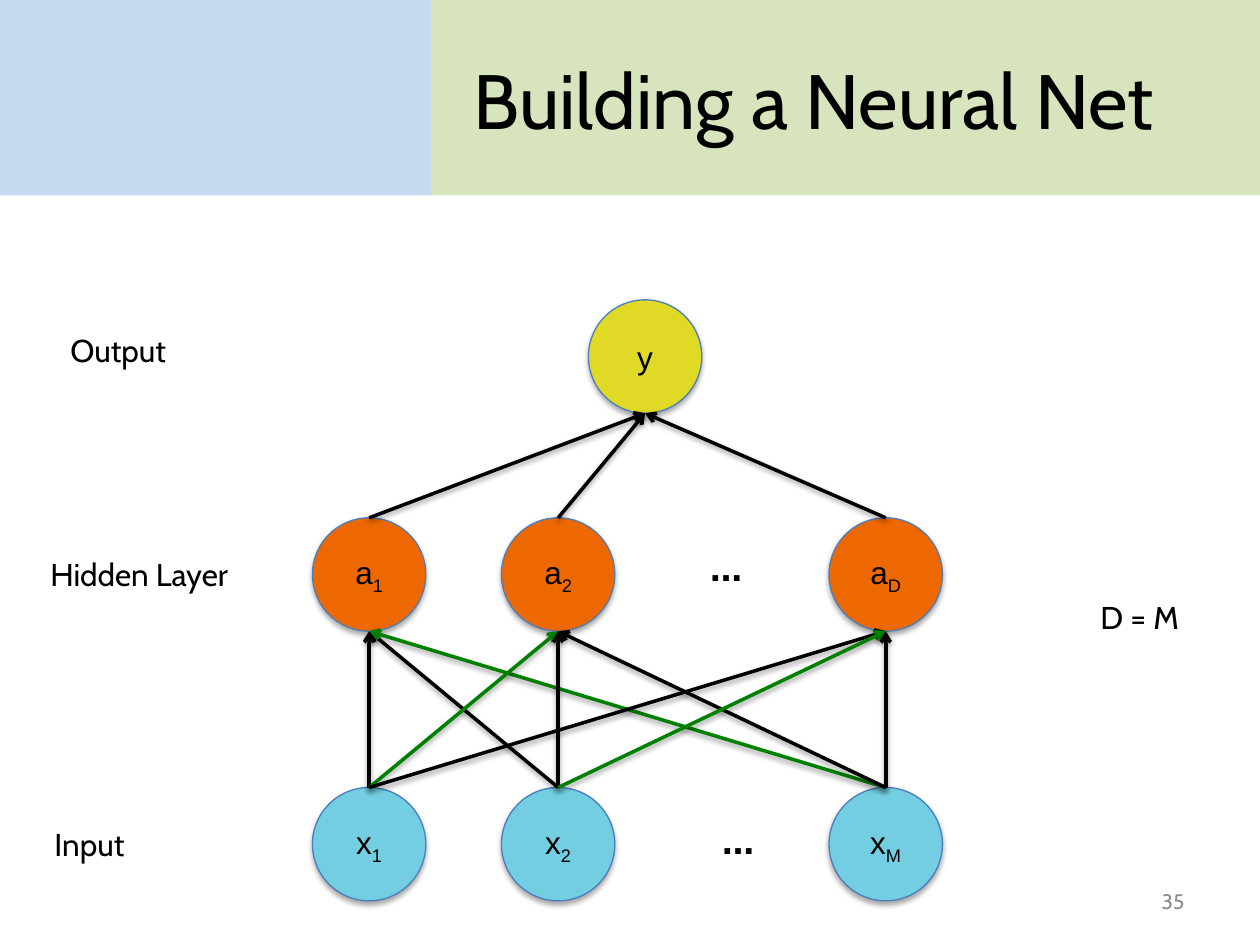
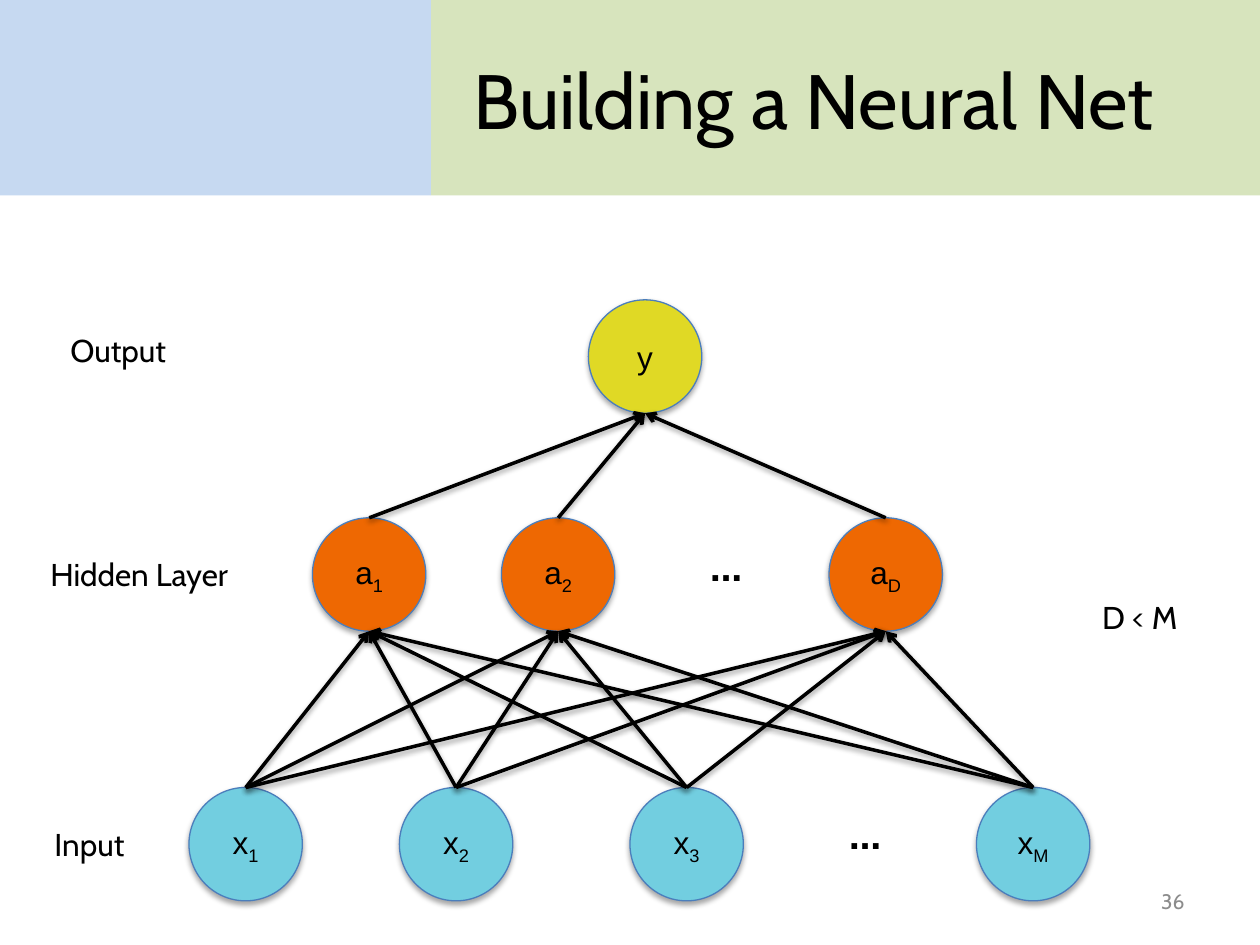
import collections
import dataclasses
import itertools

import pptx
import pptx.dml.color
import pptx.enum.dml
import pptx.enum.shapes
import pptx.enum.text
import pptx.oxml
import pptx.oxml.ns
import pptx.util
from pptx.util import Inches

ALIGN = pptx.enum.text.PP_ALIGN
ANCHOR = pptx.enum.text.MSO_ANCHOR
SHAPE = pptx.enum.shapes.MSO_SHAPE
Box = collections.namedtuple("Box", "left top width height")


@dataclasses.dataclass(frozen=True)
class Theme:
    heading_font: str = "Cabin"
    node_font: str = "Arial"
    title_size: int = 44
    ellipsis_size: int = 26
    text_size: int = 18
    number_size: int = 12
    text: str = "000000"
    number: str = "8C8C8C"
    left_band: str = "C6D9F1"
    right_band: str = "D7E4BD"
    node_line: str = "4B7EBC"
    output: str = "E0D925"
    hidden: str = "EE6802"
    input: str = "72CEE0"
    edge: str = "000000"
    marked_edge: str = "008000"


THEME = Theme()
SLIDE = Box(0, 0, 10, 7.5)
HEADER = Box(0, 0, 10, 1.55)
NETWORK = Box(1.5, 2.38, 7.15, 4.77)
SIDE_LABELS = Box(0, 2.58, 2.25, 4.32)
NODE_SIZE = 0.9
BOTTOM_SITE = "4"  # a circle has eight connection sites
HIDDEN_LEFTS = (0.98, 2.48, 5.08)

Network = collections.namedtuple(
    "Network", "number relation subscripts input_lefts ellipsis marked")
NETWORKS = (
    Network(35, "D = M", "12M", HIDDEN_LEFTS, (4.07, 3.99),
            {(0, 2), (1, 0), (2, 1)}),
    Network(36, "D < M", "123M", (0, 1.67, 3.5, 6.25), (5.08, 3.95), set()),
)


def rgb(value):
    return pptx.dml.color.RGBColor.from_string(value)


def set_values(target, values):
    for name, value in values.items():
        setattr(target, name, value)


def inside(box, left, top, width, height):
    """Turn offsets within a box into lengths on the slide."""
    return [Inches(round(length, 2)) for length in
            (box.left + left, box.top + top, width, height)]


def style_font(font, size, color=THEME.text, name=THEME.heading_font, bold=False):
    set_values(font, {"name": name, "size": pptx.util.Pt(size), "bold": bold})
    font.color.rgb = rgb(color)


def fill_shape(shape, color, line=None):
    shape.shadow.inherit = False
    shape.fill.solid()
    shape.fill.fore_color.rgb = rgb(color)
    if line:
        shape.line.color.rgb = rgb(line)
        shape.line.width = pptx.util.Pt(0.75)
    else:
        shape.line.fill.background()


def cast_shadow(properties, distance, opacity):
    """Put a soft black shadow below a shape or connector."""
    for effects in properties.findall(pptx.oxml.ns.qn("a:effectLst")):
        properties.remove(effects)
    properties.append(pptx.oxml.parse_xml(
        f'<a:effectLst {pptx.oxml.ns.nsdecls("a")}>'
        f'<a:outerShdw blurRad="40000" dist="{distance}" dir="5400000" '
        f'rotWithShape="0"><a:srgbClr val="000000">'
        f'<a:alpha val="{opacity * 1000}"/></a:srgbClr></a:outerShdw>'
        '</a:effectLst>'))


def add_text(slide, place, text, size=THEME.text_size, align=ALIGN.CENTER,
             anchor=ANCHOR.TOP, **font):
    frame = slide.shapes.add_textbox(*place).text_frame
    set_values(frame, {"word_wrap": True, "vertical_anchor": anchor})
    paragraph = frame.paragraphs[0]
    paragraph.alignment = align
    run = paragraph.add_run()
    run.text = text
    style_font(run.font, size, **font)


def add_bands(slide, box):
    """Draw the header bands and move them to the layout all slides share."""
    split = 3.42
    bands = ((0, split, THEME.left_band),
             (split, box.width - split, THEME.right_band))
    for left, width, color in bands:
        band = slide.shapes.add_shape(
            SHAPE.RECTANGLE, *inside(box, left, 0, width, box.height))
        fill_shape(band, color)
        slide.slide_layout.shapes.element.insert(2, band.element)


def set_title(slide, box):
    title = slide.shapes.title
    left, top, width, height = inside(box, 3.42, 0.16, 6.08, 1.25)
    set_values(title, {"left": left, "top": top, "width": width, "height": height})
    title.text_frame.text = "Building a Neural Net"
    title.text_frame.vertical_anchor = ANCHOR.MIDDLE
    paragraph = title.text_frame.paragraphs[0]
    paragraph.alignment = ALIGN.CENTER
    style_font(paragraph.runs[0].font, THEME.title_size)


def add_node(slide, place, letter, subscript, color):
    node = slide.shapes.add_shape(SHAPE.FLOWCHART_CONNECTOR, *place)
    fill_shape(node, color, THEME.node_line)
    cast_shadow(node.element.spPr, 23000, 35)
    node.text_frame.vertical_anchor = ANCHOR.MIDDLE
    paragraph = node.text_frame.paragraphs[0]
    paragraph.alignment = ALIGN.CENTER
    for text, baseline in ((letter, None), (subscript, "-25000")):
        if text:
            run = paragraph.add_run()
            run.text = text
            style_font(run.font, THEME.text_size, name=THEME.node_font)
            if baseline:
                run.font._element.set("baseline", baseline)
    return node


def add_layer(slide, box, top, lefts, letter, subscripts, color):
    return [add_node(slide, inside(box, left, top, NODE_SIZE, NODE_SIZE),
                     letter, subscript, color)
            for left, subscript in zip(lefts, subscripts)]


def join_layers(slide, upper, lower, marked=()):
    """Draw an arrow to each upper node from each lower node."""
    for (i, target), (j, source) in itertools.product(
            enumerate(upper), enumerate(lower)):
        edge = slide.shapes.add_connector(
            pptx.enum.shapes.MSO_CONNECTOR.STRAIGHT, 0, 0, 0, 0)
        edge.begin_connect(target, 2)
        edge.end_connect(source, 0)
        edge.element.xpath(".//a:stCxn")[0].set("idx", BOTTOM_SITE)
        edge.line.width = pptx.util.Pt(2)
        edge.line.color.rgb = rgb(
            THEME.marked_edge if (i, j) in marked else THEME.edge)
        edge.line._get_or_add_ln().append(pptx.oxml.parse_xml(
            f'<a:headEnd {pptx.oxml.ns.nsdecls("a")} type="arrow"/>'))
        cast_shadow(edge.element.spPr, 20000, 38)


def add_network(slide, box, network):
    output = add_layer(slide, box, 0, [3.17], "y", [""], THEME.output)
    hidden = add_layer(slide, box, 1.73, HIDDEN_LEFTS, "a", "12D", THEME.hidden)
    inputs = add_layer(slide, box, box.height - NODE_SIZE, network.input_lefts,
                       "x", network.subscripts, THEME.input)
    for left, top in ((3.98, 1.82), network.ellipsis):
        add_text(slide, inside(box, left, top, 0.58, 0.54), "…",
                 THEME.ellipsis_size, anchor=ANCHOR.MIDDLE, bold=True)
    join_layers(slide, hidden, inputs, network.marked)
    join_layers(slide, output, hidden)


def add_side_labels(slide, box):
    labels = (("Output", 0.46, 0, 1.42, ALIGN.LEFT),
              ("Input", 0, 3.92, 1.42, ALIGN.CENTER),
              ("Hidden Layer", -0.02, 1.78, box.width, ALIGN.CENTER))
    for text, left, top, width, align in labels:
        add_text(slide, inside(box, left, top, width, 0.4), text, align=align)


def add_relation_and_number(slide, box, network):
    add_text(slide, inside(box, 7.92, 4.7, 2.25, 0.4), network.relation)
    add_text(slide, inside(box, 7.17, 6.95, 2.33, 0.4), str(network.number),
             THEME.number_size, ALIGN.RIGHT, ANCHOR.MIDDLE, color=THEME.number)


def main():
    deck = pptx.Presentation()
    set_values(deck, {"slide_width": Inches(SLIDE.width),
                      "slide_height": Inches(SLIDE.height)})
    title_only = deck.slide_layouts[5]
    for index, network in enumerate(NETWORKS):
        slide = deck.slides.add_slide(title_only)
        if index == 0:
            add_bands(slide, HEADER)
        set_title(slide, HEADER)
        add_network(slide, NETWORK, network)
        add_side_labels(slide, SIDE_LABELS)
        add_relation_and_number(slide, SLIDE, network)
    deck.save("out.pptx")


if __name__ == "__main__":
    main()
